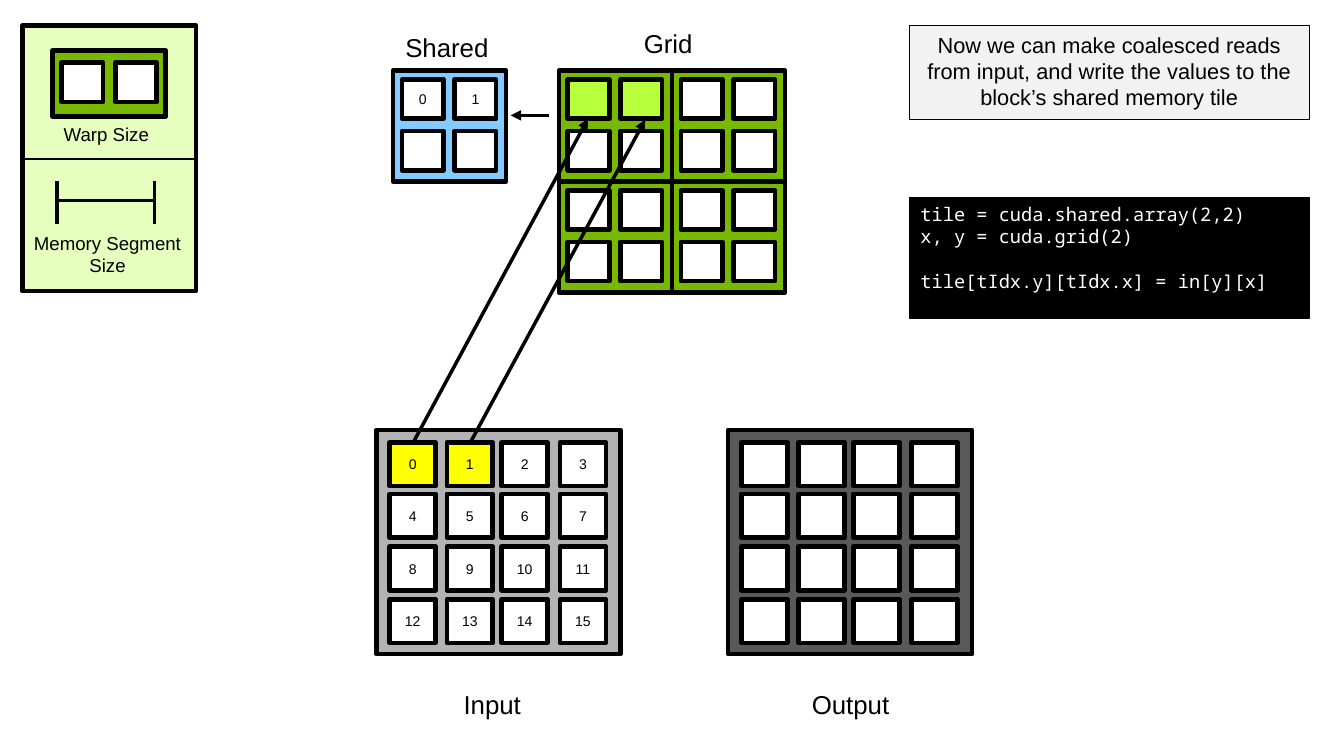
import pptx
import pptx.util
import pptx.dml.color
import pptx.enum.shapes
import pptx.enum.text
import pptx.oxml.ns
from lxml import etree

Inches, Pt = pptx.util.Inches, pptx.util.Pt
ALIGN, ANCHOR = pptx.enum.text.PP_ALIGN, pptx.enum.text.MSO_ANCHOR
qn = pptx.oxml.ns.qn

# Content
INK = {"black": "000000", "white": "FFFFFF", "green": "76B900", "lime": "B8FF3C",
       "pale": "E7FFBE", "blue": "82CAFF", "yellow": "FFFF00", "light": "B3B3B3",
       "dark": "595959", "note": "F2F2F2"}
NOTE = ("Now we can make coalesced reads from input, and write the values "
        "to the block’s shared memory tile")
CODE = [("tile = cuda.shared.array(2,2)", 0), ("x, y = cuda.grid(2)", 0),
        ("tile[tIdx.y][tIdx.x] = in[y][x]", 14.5)]  # text, space before
LABELS = [  # text, box, size, align, side inset
    ("Grid", (5.65, 0.2, 0.71, 0.38), 16.6, ALIGN.LEFT, 0.1),
    ("Shared", (3.52, 0.23, 0.95, 0.38), 16.6, ALIGN.LEFT, 0.1),
    ("Input", (4.04, 6.1, 0.79, 0.38), 16.6, ALIGN.LEFT, 0.1),
    ("Output", (7.15, 6.1, 0.95, 0.38), 16.6, ALIGN.LEFT, 0.1),
    ("Warp Size", (0.47, 1.05, 1.01, 0.3), 12, ALIGN.LEFT, 0.1),
    ("Memory Segment Size", (0.2, 2.02, 1.52, 0.5), 12, ALIGN.CENTER, 0.05)]
LINES = [  # from, to, width, arrow
    ((0.51, 1.79), (1.38, 1.79), 2.25, False),
    ((0.51, 1.62), (0.51, 2), 2.25, False),
    ((1.38, 1.62), (1.38, 2), 2.25, False),
    ((0.2, 1.42), (1.76, 1.42), 1.5, False),
    ((4.9, 1.03), (4.56, 1.03), 2.25, True),
    ((3.69, 3.95), (5.25, 1.06), 2.25, True),
    ((4.2, 3.95), (5.76, 1.07), 2.25, True)]

# Layouts: frame size, cell size, cell offsets across and down
BLOCK = {"size": (1.01, 0.99), "cell": (0.37, 0.35),
         "cols": (0.08, 0.55), "rows": (0.08, 0.54)}
WARP = {"size": (1.01, 0.59), "cell": (0.37, 0.35),
        "cols": (0.08, 0.56), "rows": (0.11,)}
BOARD = {"size": (2.18, 2), "cell": (0.41, 0.39),
         "cols": (0.12, 0.63, 1.12, 1.64), "rows": (0.11, 0.57, 1.04, 1.51)}
GRIDS = [  # layout, left, top, colour, numbers, (lit cells, their colour)
    (WARP, 0.47, 0.45, "green", 0, (0, "white")),
    (BLOCK, 3.51, 0.63, "blue", 2, (0, "white")),
    (BOARD, 6.5, 3.84, "dark", 0, (0, "white")),
    (BOARD, 3.36, 3.84, "light", 16, (2, "yellow"))]
for n in range(4):
    GRIDS.append((BLOCK, 4.99 + n % 2 * 1.01, 0.63 + n // 2 * 0.99, "green", 0,
                  (0 if n else 2, "lime")))

deck = pptx.Presentation()
deck.slide_width, deck.slide_height = Inches(12), Inches(6.75)
slide = deck.slides.add_slide(deck.slide_layouts[6])


def color(name):
    return pptx.dml.color.RGBColor.from_string(INK[name])


def write(shape, lines, size, align, anchor, inset=(0.1, 0.05),
          font="Arial", ink="black"):
    frame = shape.text_frame
    side, edge = map(Inches, inset)
    form = {"word_wrap": True, "vertical_anchor": anchor, "margin_left": side,
            "margin_right": side, "margin_top": edge, "margin_bottom": edge}
    for key, value in form.items():
        setattr(frame, key, value)
    for n, (text, gap) in enumerate(lines):
        para = frame.add_paragraph() if n else frame.paragraphs[0]
        para.alignment, para.space_before = align, Pt(gap)
        run = para.add_run()
        run.text = text
        for key, value in {"name": font, "size": Pt(size)}.items():
            setattr(run.font, key, value)
        run.font.color.rgb = color(ink)


def box(area, fill, width=3):
    shape = slide.shapes.add_shape(pptx.enum.shapes.MSO_SHAPE.RECTANGLE,
                                   *map(Inches, area))
    shape.shadow.inherit = False
    shape.fill.solid()
    shape.fill.fore_color.rgb = color(fill)
    shape.line.color.rgb = color("black")
    shape.line.width = Pt(width)
    return shape


def draw_grid(plan, left, top, fill, count, lit):
    box((left, top, *plan["size"]), fill)
    spots = [(x, y) for y in plan["rows"] for x in plan["cols"]]
    for n, (x, y) in enumerate(spots):
        cell = box((left + x, top + y, *plan["cell"]),
                   lit[1] if n < lit[0] else "white")
        if n < count:
            write(cell, [(str(n), 0)], 9, ALIGN.CENTER, ANCHOR.MIDDLE, (0, 0))


def draw_line(start, end, width, arrow):
    line = slide.shapes.add_connector(pptx.enum.shapes.MSO_CONNECTOR.STRAIGHT,
                                      *map(Inches, start + end))
    line.line.color.rgb = color("black")
    line.line.width = Pt(width)
    props = line.element.spPr
    if arrow:
        etree.SubElement(props.find(qn("a:ln")), qn("a:tailEnd"), type="triangle")
    etree.SubElement(props, qn("a:effectLst"))


# Legend panel, then every grid of cells
box((0.2, 0.23, 1.55, 2.37), "pale")
for grid in GRIDS:
    draw_grid(*grid)

# Note and code
write(box((8.12, 0.23, 3.57, 0.84), "note", 0.75), [(NOTE, 0)], 14,
      ALIGN.CENTER, ANCHOR.TOP)
write(box((8.12, 1.76, 3.57, 1.08), "black", 0.75), CODE, 12,
      ALIGN.LEFT, ANCHOR.TOP, font="Noto Sans Mono", ink="white")

# Labels and lines
for text, area, size, align, side in LABELS:
    label = slide.shapes.add_textbox(*map(Inches, area))
    write(label, [(text, 0)], size, align, ANCHOR.TOP, (side, 0.05))
for line in LINES:
    draw_line(*line)

deck.save("out.pptx")
